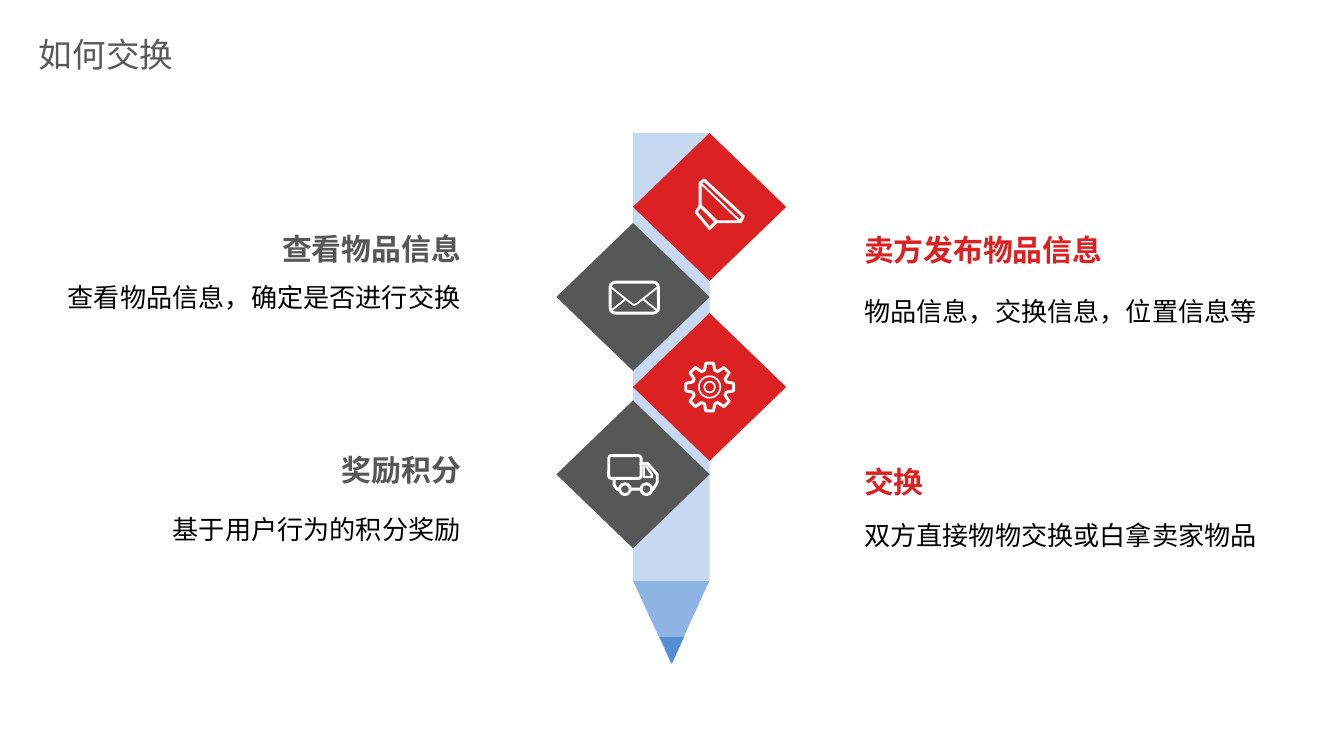
from math import cos, radians, sin

from lxml import etree
from pptx import Presentation
from pptx.dml.color import RGBColor
from pptx.enum.shapes import MSO_CONNECTOR, MSO_SHAPE
from pptx.enum.text import MSO_ANCHOR, PP_ALIGN
from pptx.oxml.ns import qn
from pptx.util import Inches, Pt

RECTANGLE = MSO_SHAPE.RECTANGLE
ROUNDED = MSO_SHAPE.ROUNDED_RECTANGLE
TRIANGLE = MSO_SHAPE.ISOSCELES_TRIANGLE
DIAMOND = MSO_SHAPE.DIAMOND
OVAL = MSO_SHAPE.OVAL
STRAIGHT = MSO_CONNECTOR.STRAIGHT
LEFT, RIGHT = PP_ALIGN.LEFT, PP_ALIGN.RIGHT
TOP, MIDDLE, BOTTOM = MSO_ANCHOR.TOP, MSO_ANCHOR.MIDDLE, MSO_ANCHOR.BOTTOM

WHITE = RGBColor(0xFF, 0xFF, 0xFF)
BLACK = RGBColor(0x00, 0x00, 0x00)
RED = RGBColor(0xDB, 0x21, 0x21)
GRAY = RGBColor(0x56, 0x57, 0x57)
TITLE_GRAY = RGBColor(0x59, 0x59, 0x59)
PALE_BLUE = RGBColor(0xC6, 0xD9, 0xF1)
MID_BLUE = RGBColor(0x8E, 0xB4, 0xE3)
DEEP_BLUE = RGBColor(0x55, 0x8E, 0xD5)

FONT = "Noto Sans CJK SC"
STROKE = 1.6
DIAMOND_WIDTH, DIAMOND_HEIGHT = 1.14, 1.1
HEADING_WIDTH, DETAIL_WIDTH = 1.8, 3.37


def paint(shape, fill=None, stroke=None):
    """Fill the shape, or outline it in white with a stroke width in points."""
    shape.shadow.inherit = False
    if fill is None:
        shape.fill.background()
    else:
        shape.fill.solid()
        shape.fill.fore_color.rgb = fill
    if stroke is None:
        shape.line.fill.background()
    else:
        shape.line.color.rgb = WHITE
        shape.line.width = Pt(stroke)
    return shape


def add_preset(slide, kind, left, top, width, height, **paint_values):
    box = [Inches(value) for value in (left, top, width, height)]
    return paint(slide.shapes.add_shape(kind, *box), **paint_values)


def add_outline(slide, left, top, points, closed=True, stroke=STROKE):
    """Draw a white outline through points given relative to left and top."""
    corners = [(Inches(left + x), Inches(top + y)) for x, y in points]
    builder = slide.shapes.build_freeform(*corners[0], scale=1.0)
    builder.add_line_segments(corners[1:], close=closed)
    return paint(builder.convert_to_shape(), stroke=stroke)


def add_circle(slide, center_x, center_y, radius, **paint_values):
    add_preset(slide, OVAL, center_x - radius, center_y - radius,
               2 * radius, 2 * radius, **paint_values)


def add_horn_icon(slide, left, top):
    left, top = left + .07, top - .02
    cone = [(.05, .03), (.08, .01), (.37, .28), (.35, .32), (.17, .32), (.05, .2)]
    base = [(.05, .2), (.02, .25), (.12, .37), (.17, .32)]
    for points in (cone, base):
        add_outline(slide, left, top, points)
    rim = slide.shapes.add_connector(
        STRAIGHT, Inches(left + .06), Inches(top + .04),
        Inches(left + .34), Inches(top + .31))
    rim.line.color.rgb = WHITE
    rim.line.width = Pt(1)
    etree.SubElement(rim._element.spPr, qn("a:effectLst"))


def add_envelope_icon(slide, left, top):
    add_preset(slide, ROUNDED, left + .02, top + .08, .36, .23, stroke=STROKE)
    flap = [(.03, .12), (.18, .24), (.2, .25), (.22, .24), (.37, .12)]
    left_fold = [(.03, .29), (.13, .21)]
    right_fold = [(.37, .29), (.27, .21)]
    for points in (flap, left_fold, right_fold):
        add_outline(slide, left, top, points, closed=False, stroke=1)


def add_gear_icon(slide, left, top):
    center = .19
    tooth = [(-17, .13), (-9, .18), (9, .18), (17, .13)]
    points = []
    for tooth_angle in range(0, 360, 45):
        for offset, radius in tooth:
            angle = radians(tooth_angle + offset)
            points.append((center + radius * cos(angle),
                           center + radius * sin(angle)))
    add_outline(slide, left, top, points)
    for radius in (.08, .04):
        add_circle(slide, left + center, top + center, radius, stroke=.9)


def add_truck_icon(slide, left, top):
    cab = [(.24, .1), (.3, .1), (.37, .18), (.37, .24), (.34, .29),
           (.07, .29), (.05, .26), (.05, .2)]
    window = [(.27, .1), (.29, .1), (.33, .16), (.33, .18), (.27, .18)]
    add_outline(slide, left, top + .01, cab, closed=False)
    add_outline(slide, left, top + .03, window, stroke=1.2)
    body = add_preset(slide, ROUNDED, left + .01, top + .05, .24, .17, stroke=STROKE)
    body.adjustments[0] = .12
    for wheel_x in (.13, .29):
        add_circle(slide, left + wheel_x, top + .3, .04, fill=GRAY, stroke=STROKE)


def add_pencil(slide, left, top):
    add_preset(slide, RECTANGLE, left, top, .57, 3.33, fill=PALE_BLUE)
    for offset, drop, width, height, color in (
            (0, 3.33, .57, .62, MID_BLUE), (.2, 3.75, .18, .2, DEEP_BLUE)):
        tip = add_preset(slide, TRIANGLE, left + offset, top + drop,
                         width, height, fill=color)
        tip._element.spPr.get_or_add_xfrm().set("flipV", "1")


def add_step(slide, left, top, color, add_icon):
    """Place a diamond with its icon in the middle."""
    add_preset(slide, DIAMOND, left, top, DIAMOND_WIDTH, DIAMOND_HEIGHT, fill=color)
    add_icon(slide, left + .38, top + .36)


def write(shape, text, size, color, bold=False, align=LEFT, spacing=1.0, **frame_values):
    frame = shape.text_frame
    margins = dict(margin_left=0, margin_right=0, margin_top=0, margin_bottom=0)
    for name, value in {**margins, **frame_values}.items():
        setattr(frame, name, value)
    paragraph = frame.paragraphs[0]
    paragraph.alignment = align
    paragraph.line_spacing = spacing
    run = paragraph.add_run()
    run.text = text
    for name, value in dict(name=FONT, size=Pt(size), bold=bold).items():
        setattr(run.font, name, value)
    run.font.color.rgb = color
    east_asian = etree.SubElement(run._r.get_or_add_rPr(), qn("a:ea"))
    east_asian.set("typeface", FONT)


def add_textbox(slide, left, top, width, height):
    return slide.shapes.add_textbox(*map(Inches, (left, top, width, height)))


def add_caption(slide, left, top, drop, heading, detail, color, align):
    """Write a heading, and a detail that starts at drop below the top."""
    on_left = align == RIGHT
    heading_left = left + DETAIL_WIDTH - HEADING_WIDTH if on_left else left
    write(add_textbox(slide, heading_left, top, HEADING_WIDTH, .25),
          heading, 16, color, bold=True, align=align, word_wrap=True,
          vertical_anchor=BOTTOM if on_left else MIDDLE)
    write(add_textbox(slide, left, top + drop, DETAIL_WIDTH, .53),
          detail, 14, BLACK, align=align, spacing=1.2, word_wrap=True,
          vertical_anchor=TOP if on_left else MIDDLE)


def add_title(slide, text):
    title = slide.shapes.title
    box = dict(left=.29, top=.19, width=2.91, height=.42)
    for name, value in box.items():
        setattr(title, name, Inches(value))
    write(title, text, 18, TITLE_GRAY, word_wrap=True, vertical_anchor=MIDDLE,
          margin_top=Inches(.05), margin_bottom=Inches(.05))


def main():
    presentation = Presentation()
    presentation.slide_width = Inches(10)
    presentation.slide_height = presentation.slide_width * 9 // 16
    slide = presentation.slides.add_slide(presentation.slide_layouts[5])
    add_title(slide, "如何交换")
    add_pencil(slide, 4.71, .99)
    for left, top, color, add_icon in (
            (4.71, .99, RED, add_horn_icon),
            (4.14, 1.66, GRAY, add_envelope_icon),
            (4.71, 2.33, RED, add_gear_icon),
            (4.14, 2.98, GRAY, add_truck_icon)):
        add_step(slide, left, top, color, add_icon)
    for left, color, align, captions in (
            (.06, GRAY, RIGHT, (
                (1.73, .32, "查看物品信息", "查看物品信息，确定是否进行交换"),
                (3.38, .39, "奖励积分", "基于用户行为的积分奖励"))),
            (6.43, RED, LEFT, (
                (1.73, .3, "卖方发布物品信息", "物品信息，交换信息，位置信息等"),
                (3.46, .23, "交换", "双方直接物物交换或白拿卖家物品")))):
        for top, drop, heading, detail in captions:
            add_caption(slide, left, top, drop, heading, detail, color, align)
    presentation.save("out.pptx")


if __name__ == "__main__":
    main()
